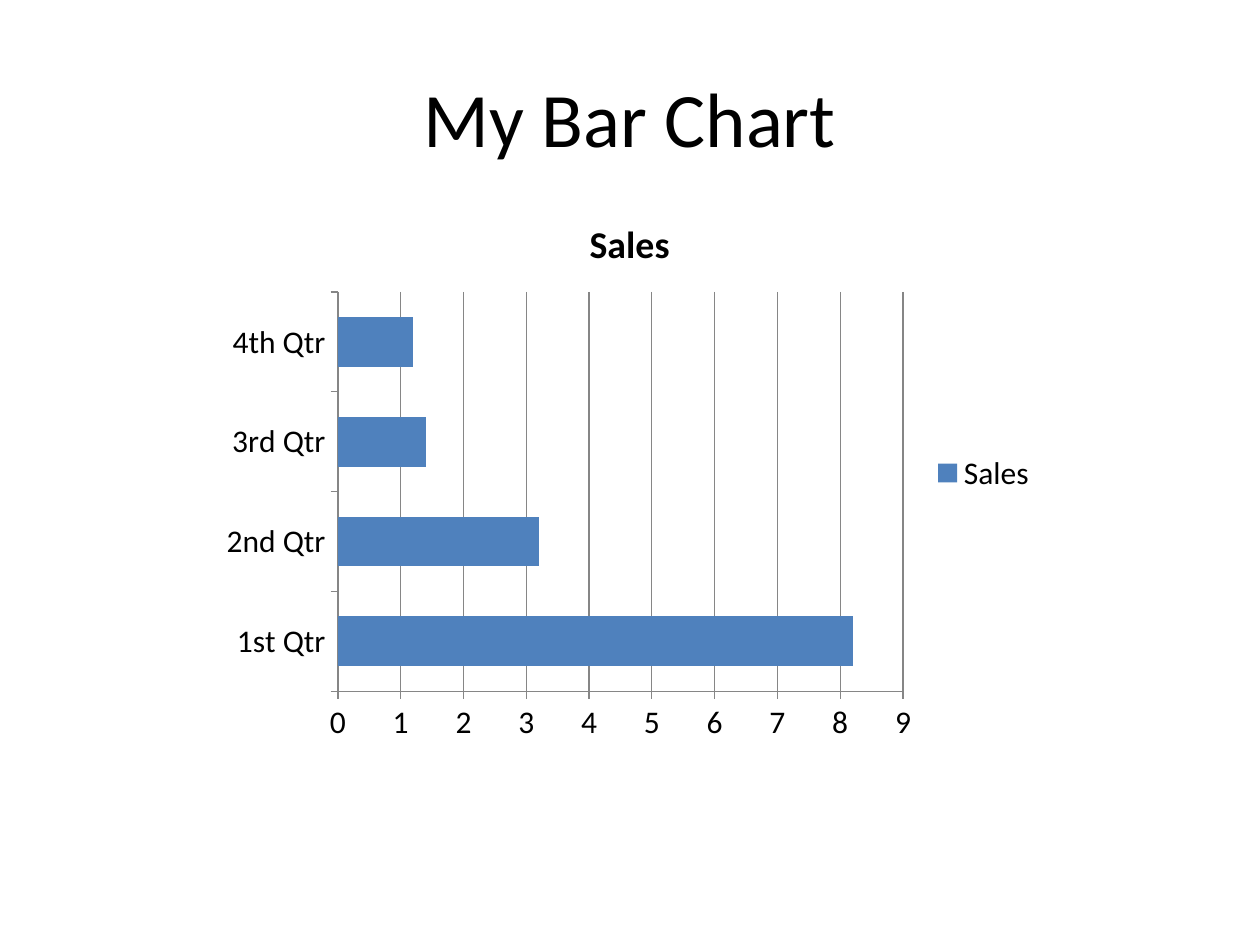
import dataclasses

import pptx
import pptx.chart.data
import pptx.dml.color
import pptx.enum.chart
import pptx.enum.text
import pptx.util

Cm = pptx.util.Cm


@dataclasses.dataclass(frozen=True)
class Theme:
    font: str = "Calibri"
    text: str = "000000"
    bar: str = "4F81BD"
    line: str = "868686"
    title_size: float = 44
    chart_title_size: float = 21.6
    chart_size: float = 18
    line_width: float = 0.75


THEME = Theme()
SALES = {"1st Qtr": 8.2, "2nd Qtr": 3.2, "3rd Qtr": 1.4, "4th Qtr": 1.2}


def color(value):
    return pptx.dml.color.RGBColor.from_string(value)


def format_font(font, size, bold=False):
    font.name = THEME.font
    font.size = pptx.util.Pt(size)
    font.bold = bold
    font.color.rgb = color(THEME.text)


def format_line(line):
    line.color.rgb = color(THEME.line)
    line.width = pptx.util.Pt(THEME.line_width)


def add_text(page, text, *, left, top, width, height, size, bold=False):
    box = page.shapes.add_textbox(left, top, width, height)
    frame = box.text_frame
    frame.word_wrap = True
    frame.vertical_anchor = pptx.enum.text.MSO_ANCHOR.MIDDLE
    para = frame.paragraphs[0]
    para.alignment = pptx.enum.text.PP_ALIGN.CENTER
    span = para.add_run()
    span.text = text
    format_font(span.font, size, bold)


def add_bar_chart(page, name, values, *, left, top, width, height):
    data = pptx.chart.data.CategoryChartData()
    data.categories = list(values)
    data.add_series(name, list(values.values()))
    kind = pptx.enum.chart.XL_CHART_TYPE.BAR_CLUSTERED
    chart = page.shapes.add_chart(kind, left, top, width, height, data).chart
    format_font(chart.font, THEME.chart_size)

    # Title and legend
    chart.has_title = True
    span = chart.chart_title.text_frame.paragraphs[0].add_run()
    span.text = name
    format_font(span.font, THEME.chart_title_size, bold=True)
    chart.chart_title.include_in_layout = False
    chart.has_legend = True
    chart.legend.position = pptx.enum.chart.XL_LEGEND_POSITION.RIGHT
    chart.legend.include_in_layout = False

    # Bars
    plot = chart.plots[0]
    plot.gap_width = 100
    plot.vary_by_categories = False
    fill = plot.series[0].format.fill
    fill.solid()
    fill.fore_color.rgb = color(THEME.bar)

    # Axes and gridlines
    for axis in (chart.category_axis, chart.value_axis):
        axis.major_tick_mark = pptx.enum.chart.XL_TICK_MARK.OUTSIDE
        axis.minor_tick_mark = pptx.enum.chart.XL_TICK_MARK.NONE
        format_line(axis.format.line)
    chart.category_axis.has_major_gridlines = False
    chart.value_axis.has_major_gridlines = True
    format_line(chart.value_axis.major_gridlines.format.line)


def main():
    deck = pptx.Presentation()
    deck.slide_width, deck.slide_height = Cm(25.4), Cm(19.05)
    page = deck.slides.add_slide(deck.slide_layouts[6])

    # Heading
    add_text(page, "My Bar Chart", left=Cm(1.27), top=Cm(0.76),
             width=Cm(22.86), height=Cm(3.18), size=THEME.title_size)

    # Quarterly sales
    add_bar_chart(page, "Sales", SALES, left=Cm(4.23), top=Cm(3.89),
                  width=Cm(16.93), height=Cm(11.29))

    deck.save("out.pptx")


if __name__ == "__main__":
    main()
